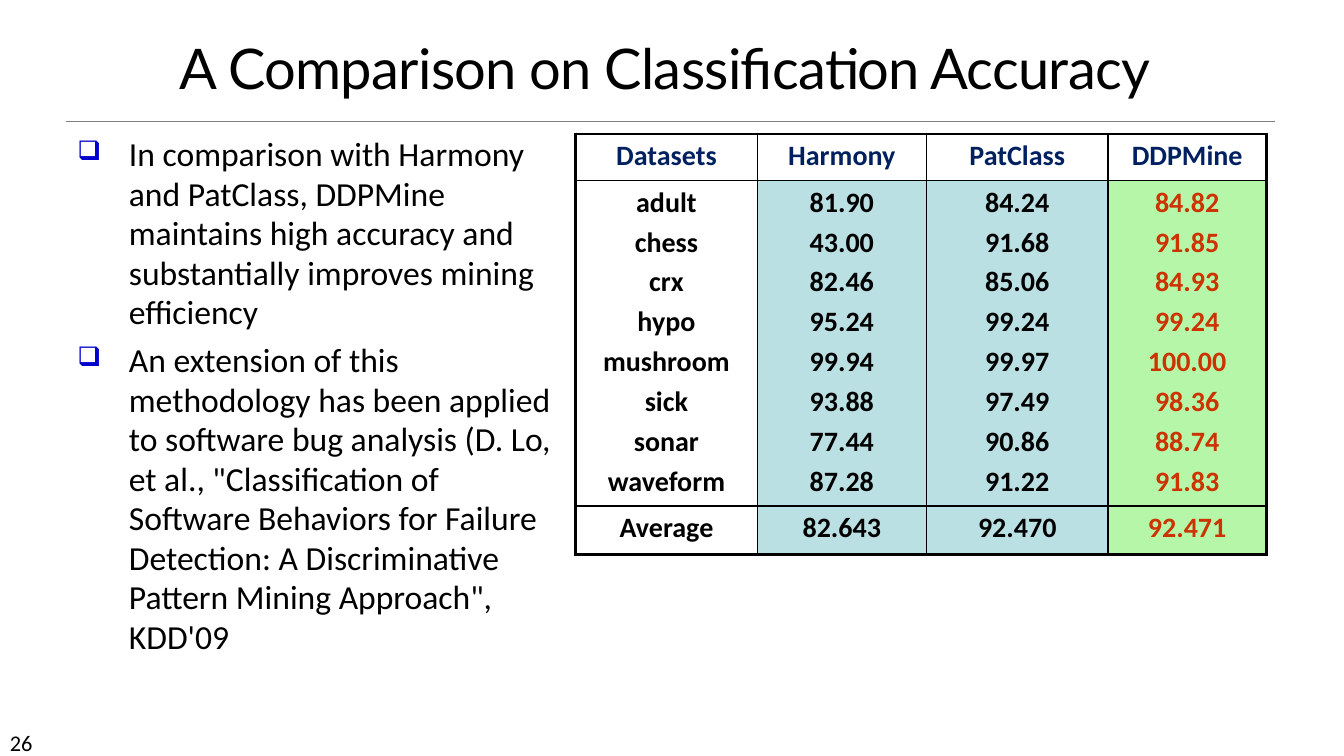
from dataclasses import dataclass

from lxml import etree
from pptx import Presentation
from pptx import util as u
from pptx.dml.color import RGBColor
from pptx.enum import shapes, text
from pptx.oxml import ns

PX = 9144  # EMU in one px, 100 px to the inch


@dataclass(frozen=True)
class Theme:
    face: str = "Calibri"
    head: str = "Lato"
    ink: str = "000000"
    rule: str = "808080"
    mark: str = "0000CC"
    navy: str = "002060"
    red: str = "CC3300"
    blue: str = "BBE0E3"
    green: str = "B5F6A8"
    big: int = 40
    body: int = 24
    cell: int = 20
    small: int = 16
    thin: float = 1
    thick: float = 2.25


T = Theme()

POINTS = [
    "In comparison with Harmony and PatClass, DDPMine maintains high accuracy "
    "and substantially improves mining efficiency",
    "An extension of this methodology has been applied to software bug analysis "
    '(D. Lo, et al., "Classification of Software Behaviors for Failure Detection: '
    'A Discriminative Pattern Mining Approach", KDD\'09',
]

# Per column: width, fill, text colour, heading, scores by dataset, average
COLUMNS = [
    (180, None, T.ink, "Datasets",
     "adult chess crx hypo mushroom sick sonar waveform", "Average"),
    (168, T.blue, T.ink, "Harmony",
     "81.90 43.00 82.46 95.24 99.94 93.88 77.44 87.28", "82.643"),
    (180, T.blue, T.ink, "PatClass",
     "84.24 91.68 85.06 99.24 99.97 97.49 90.86 91.22", "92.470"),
    (157, T.green, T.red, "DDPMine",
     "84.82 91.85 84.93 99.24 100.00 98.36 88.74 91.83", "92.471"),
]
ROWS = [46, 323, 48]


def px(*vals):
    return [u.Emu(v * PX) for v in vals]


def rgb(hue):
    return RGBColor.from_string(hue)


def node(top, tag, **attrs):
    return etree.SubElement(top, ns.qn(tag), attrs)


def style(para, size, hue=T.ink, face=T.face, bold=False):
    font = para.font
    font.size, font.name, font.bold = u.Pt(size), face, bold
    font.color.rgb = rgb(hue)


def frame(slide, box):
    tf = slide.shapes.add_textbox(*px(*box)).text_frame
    tf.word_wrap = True
    return tf


def title(slide, box, words):
    tf = frame(slide, box)
    tf.vertical_anchor = text.MSO_ANCHOR.BOTTOM
    para = tf.paragraphs[0]
    run = para.add_run()
    run.text = words
    run._r.get_or_add_rPr().set("spc", "-50")
    para.alignment = text.PP_ALIGN.CENTER
    para.line_spacing = 0.85
    style(para, T.big, face=T.head)


def rule(slide, left, top, wide):
    line = slide.shapes.add_connector(
        shapes.MSO_CONNECTOR.STRAIGHT, *px(left, top, left + wide, top))
    line.line.color.rgb = rgb(T.rule)
    line.line.width = u.Pt(0.5)
    node(line._element.spPr, "a:effectLst")


def bullet(para):
    props = para._p.get_or_add_pPr()
    indent = 51 * PX
    props.set("marL", str(indent))
    props.set("indent", str(-indent))
    node(node(props, "a:buClr"), "a:srgbClr", val=T.mark)
    node(props, "a:buSzPct", val="80000")
    node(props, "a:buChar", char="❑")


def points(slide, box, items):
    tf = frame(slide, box)
    for i, item in enumerate(items):
        para = tf.add_paragraph() if i else tf.paragraphs[0]
        para.text = item
        bullet(para)
        para.line_spacing = 0.98
        if i:
            para.space_before = u.Pt(6)
        style(para, T.body)


def edge(cell, sides):
    """Draw the cell's borders; sides maps L, R, T, B to whether it is thick."""
    props = cell._tc.get_or_add_tcPr()
    for i, (side, outer) in enumerate(sides.items()):
        width = u.Pt(T.thick if outer else T.thin)
        line = node(props, f"a:ln{side}", w=str(width))
        node(node(line, "a:solidFill"), "a:srgbClr", val=T.ink)
        props.insert(i, line)


def fill(cell, lines, hue, back):
    cell.margin_left = cell.margin_right = u.Emu(13 * PX)
    cell.margin_top = cell.margin_bottom = u.Emu(5 * PX)
    if back:
        cell.fill.solid()
        cell.fill.fore_color.rgb = rgb(back)
    else:
        cell.fill.background()
    tf = cell.text_frame
    for i, words in enumerate(lines):
        para = tf.add_paragraph() if i else tf.paragraphs[0]
        para.text = words
        para.alignment = text.PP_ALIGN.CENTER
        if i:
            para.space_before = u.Pt(T.cell * 0.2)
        style(para, T.cell, hue, bold=True)


def scores(slide, left, top):
    wide = sum(col[0] for col in COLUMNS)
    last, end = len(COLUMNS) - 1, len(ROWS) - 1
    grid = slide.shapes.add_table(
        len(ROWS), len(COLUMNS), *px(left, top, wide, sum(ROWS))).table
    grid.first_row = grid.horz_banding = False
    for row, high in zip(grid.rows, ROWS):
        row.height = u.Emu(high * PX)
    for c, (width, back, hue, name, vals, mean) in enumerate(COLUMNS):
        grid.columns[c].width = u.Emu(width * PX)
        for r, lines in enumerate(([name], vals.split(), [mean])):
            cell = grid.cell(r, c)
            fill(cell, lines, hue if r else T.navy, back if r else None)
            edge(cell, {"L": c == 0, "R": c == last, "T": r == 0, "B": r == end})


def number(slide, box, words):
    para = frame(slide, box).paragraphs[0]
    para.text = words
    style(para, T.small)


def main():
    deck = Presentation()
    deck.slide_width, deck.slide_height = px(1333, 750)
    slide = deck.slides.add_slide(deck.slide_layouts[6])
    rule(slide, 65, 120, 1200)
    number(slide, (0, 718, 117, 30), "26")
    title(slide, (38, 24, 1243, 81), "A Comparison on Classification Accuracy")
    points(slide, (67, 129, 501, 547), POINTS)
    scores(slide, 571, 133)
    deck.save("out.pptx")


if __name__ == "__main__":
    main()
